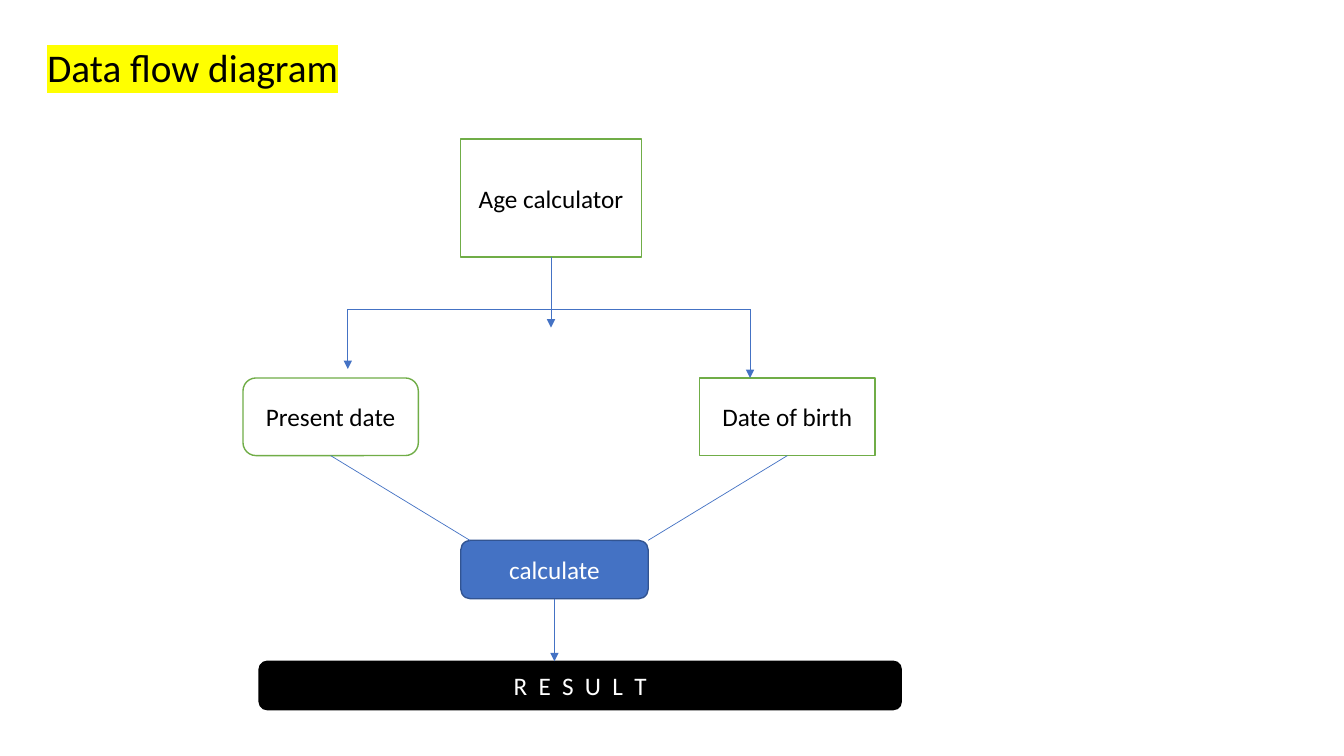
from lxml import etree
from pptx import Presentation
from pptx.dml.color import RGBColor
from pptx.enum.shapes import MSO_CONNECTOR, MSO_SHAPE
from pptx.enum.text import MSO_ANCHOR, PP_ALIGN
from pptx.oxml.ns import qn
from pptx.util import Inches, Pt

RECT, ROUNDED = MSO_SHAPE.RECTANGLE, MSO_SHAPE.ROUNDED_RECTANGLE
STRAIGHT = MSO_CONNECTOR.STRAIGHT
LEFT, CENTER = PP_ALIGN.LEFT, PP_ALIGN.CENTER
TOP, MIDDLE = MSO_ANCHOR.TOP, MSO_ANCHOR.MIDDLE
TITLE_ONLY = 5
BLACK, WHITE, GREEN, BLUE, NAVY = "000000", "FFFFFF", "70AD47", "4472C4", "325491"


def paint(color_format, color):
    """Set a fill, line or font colour from a hex string."""
    color_format.rgb = RGBColor.from_string(color)


def write(frame, text, size, color, align, anchor):
    """Put one styled paragraph in a text frame and return its run."""
    frame.word_wrap = True
    frame.vertical_anchor = anchor
    paragraph = frame.paragraphs[0]
    run = paragraph.add_run()
    run.text = text
    paragraph.alignment = align
    paragraph.font.name = "Calibri"
    paragraph.font.size = Pt(size)
    paint(paragraph.font.color, color)
    return run


deck = Presentation()
deck.slide_width, deck.slide_height = Inches(13.33), Inches(7.5)
slide = deck.slides.add_slide(deck.slide_layouts[TITLE_ONLY])

# The slide is a grid of 100 columns by 100 rows.
col, row = deck.slide_width / 100, deck.slide_height / 100

title = slide.shapes.title
title.left, title.top = int(2.78 * col), int(5.07 * row)
title.width, title.height = int(25.8 * col), int(7.6 * row)
heading = write(title.text_frame, "Data flow diagram", 28, BLACK, LEFT, TOP)
highlight = etree.SubElement(heading._r.get_or_add_rPr(), qn("a:highlight"))
etree.SubElement(highlight, qn("a:srgbClr"), val="FFFF00")

# Steps of the flow: left, top, width and height in grid units.
calculator = (34.28, 18.4, 13.43, 15.6)
present = (18.08, 50, 13.05, 10.27)
birth = (52.06, 50, 13.05, 10.27)
calculate = (34.28, 71.47, 13.95, 7.73)
result = (19.28, 87.47, 47.78, 6.4)
steps = [
    ("Age calculator", calculator, RECT, WHITE, GREEN, BLACK),
    ("Present date", present, ROUNDED, WHITE, GREEN, BLACK),
    ("Date of birth", birth, RECT, WHITE, GREEN, BLACK),
    ("calculate", calculate, ROUNDED, BLUE, NAVY, WHITE),
    ("R E S U L T", result, ROUNDED, BLACK, BLACK, WHITE),
]
for label, (x, y, w, h), outline, fill, border, ink in steps:
    step = slide.shapes.add_shape(
        outline, int(x * col), int(y * row), int(w * col), int(h * row))
    step.shadow.inherit = False
    step.fill.solid()
    paint(step.fill.fore_color, fill)
    paint(step.line.color, border)
    step.line.width = Pt(1)
    words = write(step.text_frame, label, 18, ink, CENTER, MIDDLE)
    if label.startswith("R E"):
        words._r.get_or_add_rPr().set("spc", "200")

# Links leave from the bottom centre of a step.
(calculator_exit, present_exit, birth_exit, calculate_exit) = [
    (x + w / 2, y + h) for x, y, w, h in (calculator, present, birth, calculate)]
branch_left, branch_right, branch_row = 25.88, 55.81, 40.93
calculate_left, calculate_top, calculate_width = calculate[:3]
links = [
    (calculator_exit, (calculator_exit[0], 43.33), True),
    ((branch_left, branch_row), (branch_right, branch_row), False),
    ((branch_left, branch_row), (branch_left, 48.8), True),
    ((branch_right, branch_row), (branch_right, birth[1]), True),
    (present_exit, (calculate_left + 0.68, calculate_top), False),
    (birth_exit, (calculate_left + calculate_width, calculate_top), False),
    (calculate_exit, (calculate_exit[0], result[1]), True),
]
for (x1, y1), (x2, y2), has_arrow in links:
    link = slide.shapes.add_connector(
        STRAIGHT, int(x1 * col), int(y1 * row), int(x2 * col), int(y2 * row))
    paint(link.line.color, BLUE)
    link.line.width = Pt(0.5)
    if has_arrow:
        etree.SubElement(link.line._get_or_add_ln(), qn("a:tailEnd"), type="triangle")
    etree.SubElement(link._element.spPr, qn("a:effectLst"))

deck.save("out.pptx")
